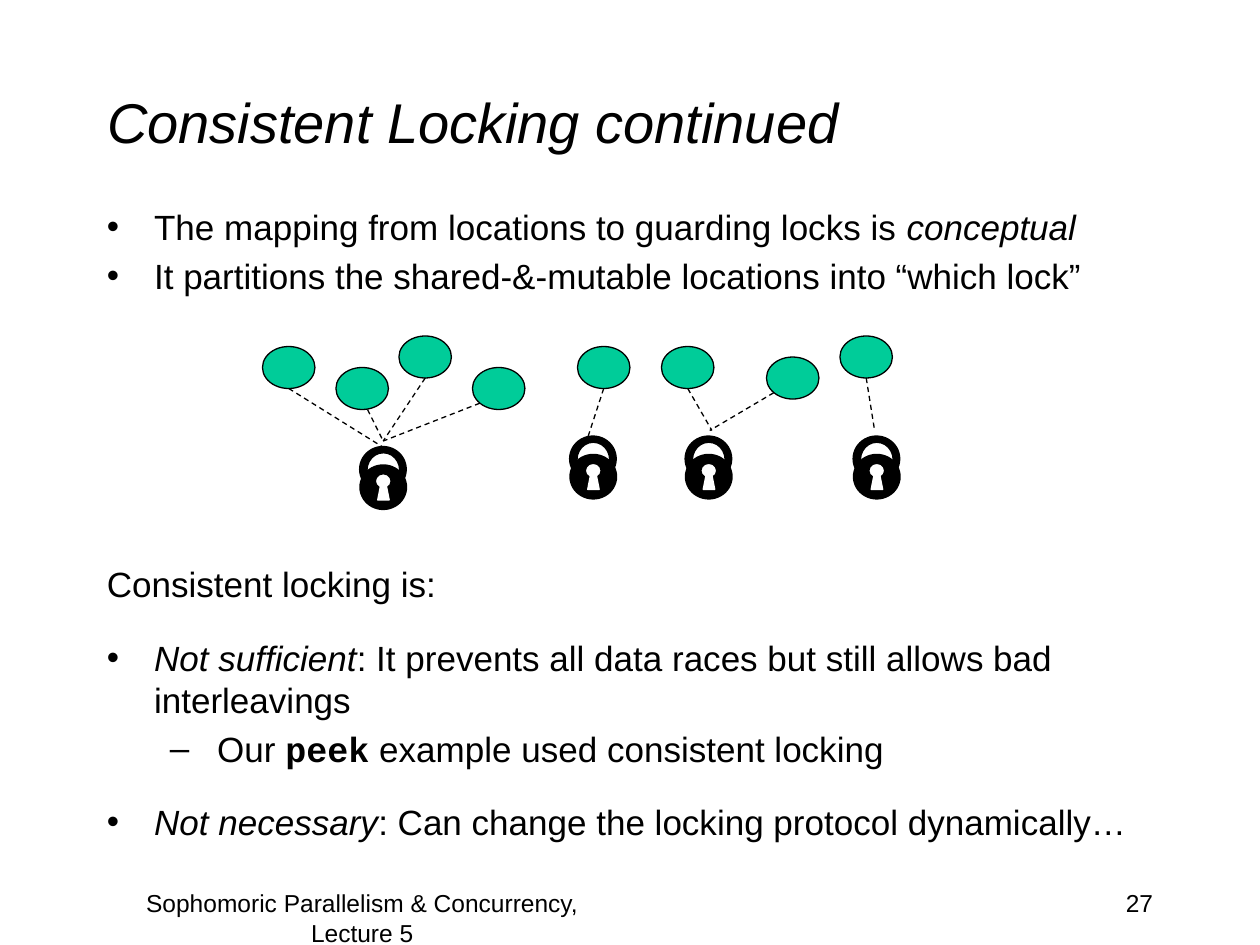
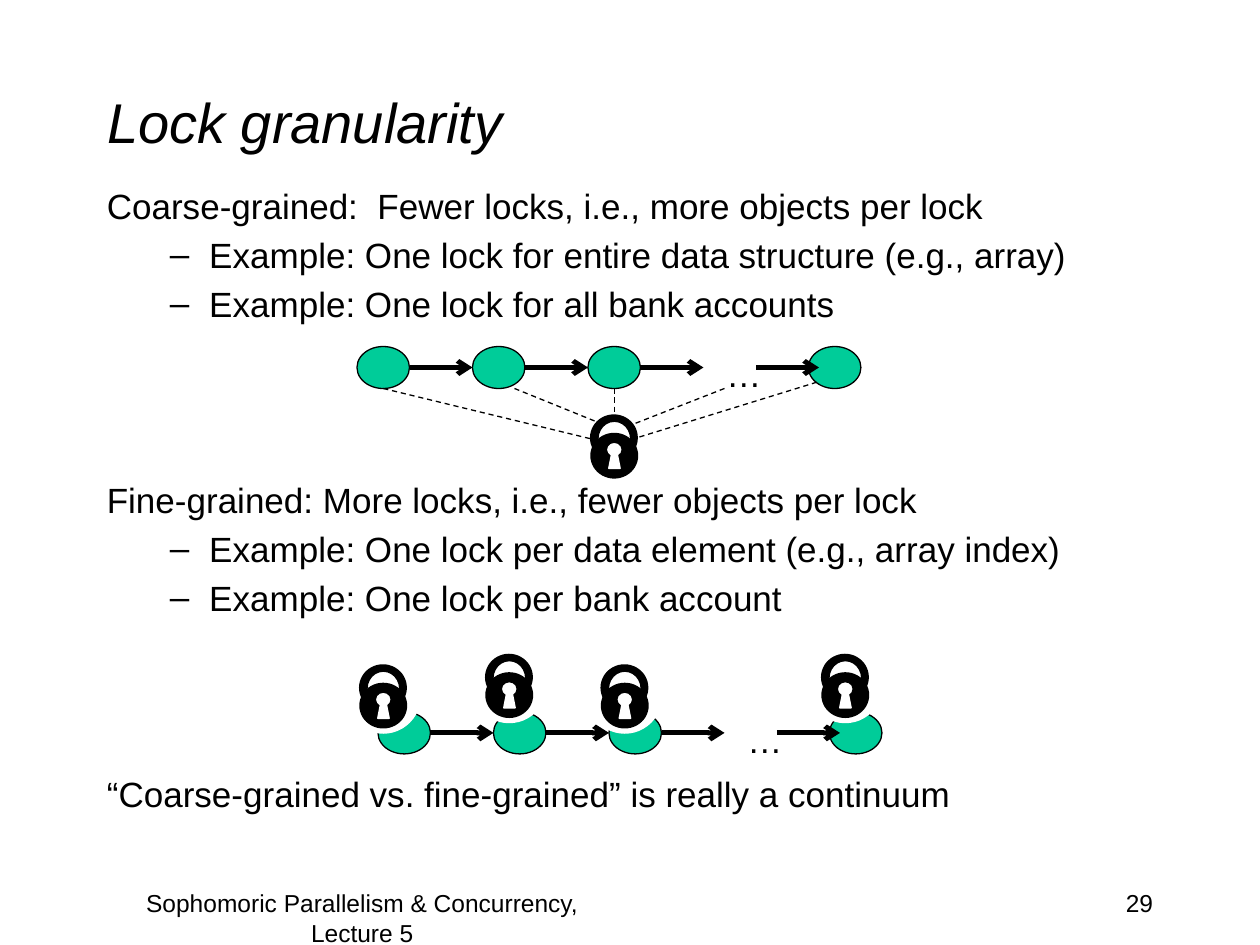
import pptx
import pptx.util
import pptx.dml.color
import pptx.enum.dml
import pptx.enum.shapes
import pptx.enum.text
import pptx.oxml.ns
import lxml.etree

COLS, ROWS = 120, 90
BLACK, WHITE, GREEN = "000000", "FFFFFF", "00CC99"
SANS, MONO = "Arial", "Courier New"
BODY, NOTE = 20, 14
ALIGN = pptx.enum.text.PP_ALIGN
OVAL = pptx.enum.shapes.MSO_SHAPE.OVAL
FOOTER = "Sophomoric Parallelism & Concurrency, Lecture 5"

POINT = ("•", 4.5, 4.5)
DEEP = ("–", 10.5, 4.5)
DASH = ("–", 9.75, 3.75)


def color(code):
    return pptx.dml.color.RGBColor.from_string(code)


def child(parent, tag, **attrs):
    return lxml.etree.SubElement(parent, pptx.oxml.ns.qn(tag), attrs)


class Deck:
    def __init__(self):
        self.file = pptx.Presentation()
        self.file.slide_width = pptx.util.Inches(10)
        self.file.slide_height = pptx.util.Inches(7.5)
        self.slide = None

    def col(self, count):
        return round(self.file.slide_width * count / COLS)

    def row(self, count):
        return round(self.file.slide_height * count / ROWS)

    def box(self, x, y, wide, high):
        return self.col(x), self.row(y), self.col(wide), self.row(high)

    def font(self, run, size, name=SANS, italic=False, bold=False):
        run.font.size = pptx.util.Pt(size)
        run.font.name = name
        run.font.italic = italic
        run.font.bold = bold
        run.font.color.rgb = color(BLACK)

    def page(self, title, number):
        self.slide = self.file.slides.add_slide(self.file.slide_layouts[5])
        head = self.slide.shapes.title
        head.left, head.top, head.width, head.height = self.box(9, 4, 102, 15)
        frame = head.text_frame
        frame.text = title
        frame.auto_size = pptx.enum.text.MSO_AUTO_SIZE.NONE
        frame.vertical_anchor = pptx.enum.text.MSO_ANCHOR.MIDDLE
        frame.paragraphs[0].alignment = ALIGN.LEFT
        self.font(frame.paragraphs[0].runs[0], 32, italic=True)
        self.label(number, (86, 84, 25, 6), NOTE, ALIGN.RIGHT)
        self.label(FOOTER, (9, 84, 51, 6), NOTE, ALIGN.CENTER)

    def frame(self, place, wrap=True):
        frame = self.slide.shapes.add_textbox(*self.box(*place)).text_frame
        frame.word_wrap = wrap
        return frame

    def label(self, text, place, size, align=ALIGN.LEFT, wrap=True):
        frame = self.frame(place, wrap)
        frame.text = text
        frame.paragraphs[0].alignment = align
        self.font(frame.paragraphs[0].runs[0], size)

    def mark(self, para, sign, left, hang):
        props = para._p.get_or_add_pPr()
        props.set("marL", str(self.col(left)))
        props.set("indent", str(-self.col(hang)))
        child(props, "a:buFont", typeface=SANS)
        child(props, "a:buChar", char=sign)

    def list(self, place, items):
        frame = self.frame(place)
        for index, (mark, gap, parts) in enumerate(items):
            para = frame.add_paragraph() if index else frame.paragraphs[0]
            if mark:
                self.mark(para, *mark)
            para.space_before = pptx.util.Pt(gap)
            for text, style in parts:
                run = para.add_run()
                run.text = text
                self.font(run, BODY, **style)

    def paint(self, shape, fill, line, width):
        shape.shadow.inherit = False
        shape.fill.solid()
        shape.fill.fore_color.rgb = color(fill)
        shape.line.color.rgb = color(line)
        shape.line.width = pptx.util.Pt(width)

    def oval(self, place, fill=GREEN, line=BLACK, width=0.75, group=None):
        home = group or self.slide
        shape = home.shapes.add_shape(OVAL, *self.box(*place))
        self.paint(shape, fill, line, width)

    def node(self, x, y):
        self.oval((x, y, 5, 4))

    def lock(self, x, y):
        group = self.slide.shapes.add_group_shape()
        for dx, dy, wide, high, fill, line in (
            (0, 0, 7, 7, WHITE, WHITE),
            (1.27, 0.55, 4.4, 4.3, BLACK, BLACK),
            (1.93, 1.1, 3.15, 3.35, WHITE, BLACK),
            (1.3, 2.3, 4.4, 4.2, BLACK, BLACK),
            (2.73, 3.1, 1.55, 1.45, WHITE, BLACK),
        ):
            self.oval((x + dx, y + dy, wide, high), fill, line, 1, group)
        slot = [(self.col(x + dx), self.row(y + dy)) for dx, dy in
                ((3, 5.6), (3.25, 4.35), (3.8, 4.35), (4.05, 5.6))]
        pen = group.shapes.build_freeform(*slot[0])
        pen.add_line_segments(slot[1:], close=True)
        self.paint(pen.convert_to_shape(), WHITE, WHITE, 1)

    def link(self, x, y, to_x, to_y, width=0.75):
        line = self.slide.shapes.add_connector(
            pptx.enum.shapes.MSO_CONNECTOR.STRAIGHT,
            self.col(x), self.row(y), self.col(to_x), self.row(to_y))
        line.line.color.rgb = color(BLACK)
        line.line.width = pptx.util.Pt(width)
        child(line._element.spPr, "a:effectLst")
        return line.line

    def tie(self, *ends):
        self.link(*ends).dash_style = pptx.enum.dml.MSO_LINE.DASH

    def arrow(self, x, y, length):
        line = self.link(x, y, x + length, y, 2.75)
        child(line._get_or_add_ln(), "a:tailEnd", type="arrow")

    def chain(self, x, y):
        for step in (0, 11, 22, 43):
            self.node(x + step, y)
        for step in (5, 16, 27, 38):
            self.arrow(x + step, y + 2, 6)
        self.label("…", (x + 34, y, 5.8, 5.3), BODY, wrap=False)


def plain(text):
    return text, {}


def slant(text):
    return text, {"italic": True}


def code(text):
    return text, {"name": MONO, "bold": True}


def mapping(deck):
    deck.page("Consistent Locking continued", "27")
    deck.list((9, 19, 102, 10), [
        (POINT, 0, [plain("The mapping from locations to guarding locks is "),
                    slant("conceptual")]),
        (POINT, 4, [plain("It partitions the shared-&-mutable locations "
                          "into “which lock”")]),
    ])
    for x, y in ((25, 33), (32, 35), (45, 35), (63, 33),
                 (55, 33), (38, 32), (73, 34), (80, 32)):
        deck.node(x, y)
    for x, y in ((33, 42), (53, 41), (64, 41), (80, 41)):
        deck.lock(x, y)
    for ends in (
        (27.5, 37, 36.5, 42.6), (35, 39, 36.5, 42),
        (40.5, 36, 36.5, 42), (45.7, 38.4, 36.5, 42),
        (57.5, 37, 56, 41.6), (65.5, 37, 67.8, 41),
        (73.7, 37.4, 67.6, 41), (82.5, 36, 83.3, 41),
    ):
        deck.tie(*ends)
    deck.list((9, 53, 102, 30), [
        (None, 0, [plain("Consistent locking is:")]),
        (POINT, 18, [slant("Not sufficient"),
                     plain(": It prevents all data races but still allows "
                           "bad interleavings")]),
        (DEEP, 4, [plain("Our "), code("peek"),
                   plain(" example used consistent locking")]),
        (POINT, 18, [slant("Not necessary"),
                     plain(": Can change the locking protocol "
                           "dynamically…")]),
    ])


def grain(deck):
    deck.page("Lock granularity", "29")
    deck.list((9, 17, 102, 63), [(mark, gap, [plain(text)]) for mark, gap, text in (
        (None, 0, "Coarse-grained:  Fewer locks, i.e., more objects per lock"),
        (DASH, 4, "Example: One lock for entire data structure (e.g., array)"),
        (DASH, 4, "Example: One lock for all bank accounts"),
        (None, 88, "Fine-grained: More locks, i.e., fewer objects per lock"),
        (DASH, 4, "Example: One lock per data element (e.g., array index)"),
        (DASH, 4, "Example: One lock per bank account"),
        (None, 88, "“Coarse-grained vs. fine-grained” is really a continuum"),
    )])
    deck.chain(34, 33)
    deck.lock(55, 39)
    for ends in (
        (36.5, 37, 56.3, 41.8), (49, 37, 56.9, 40.2),
        (58.5, 37, 58.5, 39.6), (69, 37, 59.8, 40.6),
        (77.8, 36.4, 60, 41.9),
    ):
        deck.tie(*ends)
    deck.chain(36, 67.8)
    for x, y in ((33, 62.8), (45, 61.8), (56, 62.8), (77, 61.8)):
        deck.lock(x, y)


def main():
    deck = Deck()
    mapping(deck)
    grain(deck)
    deck.file.save("out.pptx")


if __name__ == "__main__":
    main()
